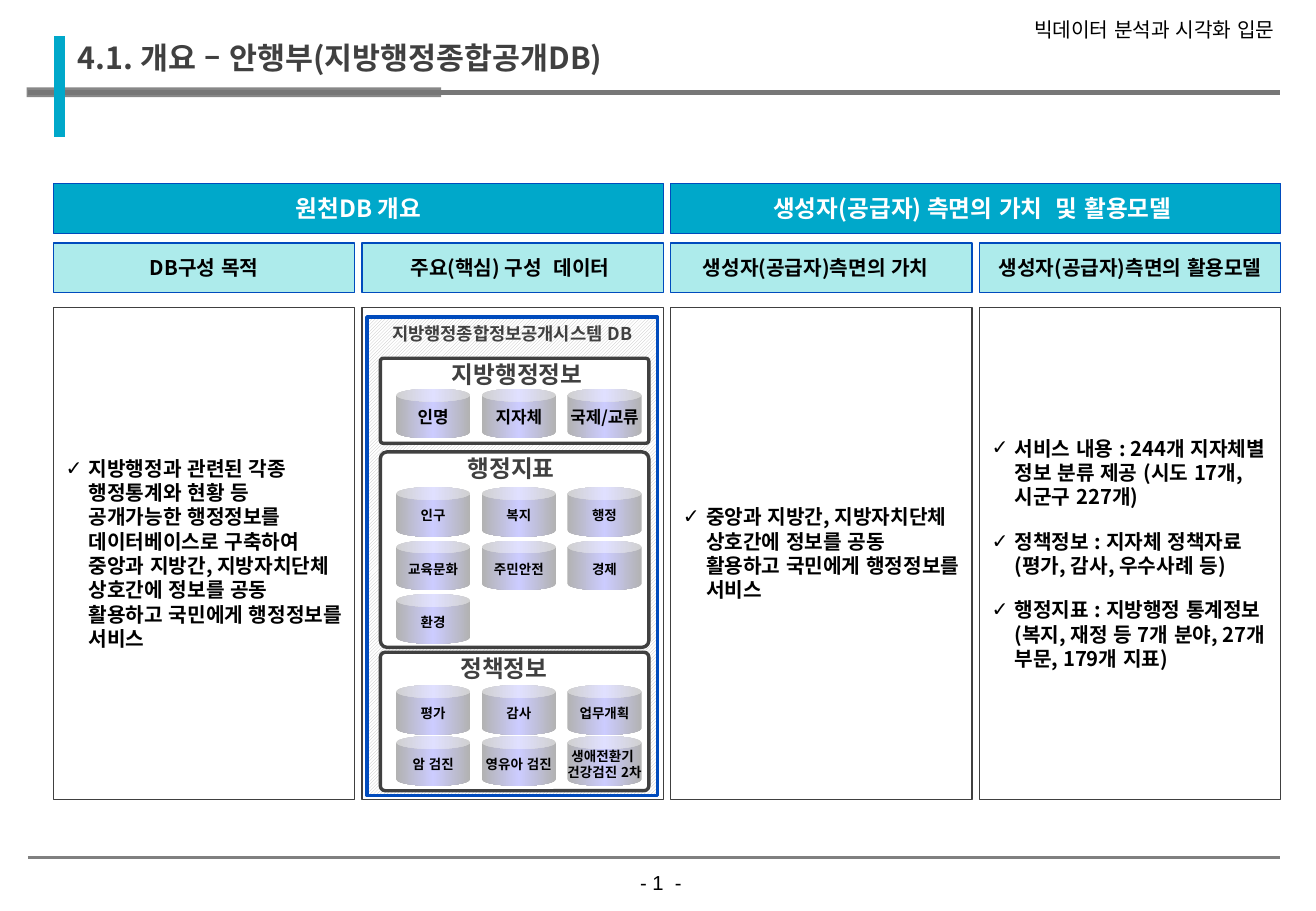
from copy import deepcopy

from lxml import etree
from pptx import Presentation, util as u
from pptx.dml.color import RGBColor
from pptx.enum import dml, lang, shapes, text
from pptx.oxml.ns import qn

WIDTH, HEIGHT = 10.83, 7.5
FONT = "Noto Sans CJK KR"
COLORS = {
    "teal": "00A8CA", "aqua": "ADEBEB", "blue": "004BBD", "dark": "404040",
    "black": "000000", "white": "FFFFFF", "hatch": "BFBFBF", "rule": "777777",
    "footer": "808080", "bar": "111111", "can_edge": "B2B2B2", "can_middle": "CCCCFF",
}
KIND = shapes.MSO_SHAPE
ALIGN, ANCHOR = text.PP_ALIGN, text.MSO_ANCHOR

# Column grid of the four-column overview
GRID_LEFT, COLUMN_WIDTH, COLUMN_PITCH = 0.44, 2.48, 2.54
BODY_TOP, BODY_HEIGHT = 2.53, 4.05
# Grid of the database cylinders
CAN_LEFT, CAN_PITCH, CAN_WIDTH, CAN_HEIGHT = 3.26, 0.705, 0.61, 0.41

BANDS = ["원천DB 개요", "생성자(공급자) 측면의 가치  및 활용모델 "]
HEADINGS = ["DB구성 목적", "주요(핵심) 구성  데이터 ",
            "생성자(공급자)측면의 가치  ", "생성자(공급자)측면의 활용모델"]
LISTS = {  # column: items
    0: ["지방행정과 관련된 각종 행정통계와 현황 등 공개가능한 행정정보를 데이터베이스로 "
        "구축하여 중앙과 지방간, 지방자치단체 상호간에 정보를 공동 활용하고 국민에게 "
        "행정정보를 서비스"],
    2: ["중앙과 지방간, 지방자치단체 상호간에 정보를 공동 활용하고 국민에게 행정정보를 서비스"],
    3: ["서비스 내용 : 244개 지자체별 정보 분류 제공 (시도 17개, 시군구 227개)",
        "정책정보 : 지자체 정책자료(평가, 감사, 우수사례 등)",
        "행정지표 : 지방행정 통계정보(복지, 재정 등 7개 분야, 27개 부문, 179개 지표)"],
}
# title, title left, panel top, panel height, first can row, row pitch, text size, cans
PANELS = [
    ("지방행정정보", 3.62, 2.95, 0.70, 3.20, 0.44, 10, ["인명", "지자체", "국제/교류"]),
    ("행정지표", 3.75, 3.72, 1.61, 4.01, 0.44, 8,
     ["인구", "복지", "행정", "교육문화", "주민안전", "경제", "환경"]),
    ("정책정보", 3.69, 5.37, 1.14, 5.64, 0.42, 8,
     ["평가", "감사", "업무개획", "암 검진", "영유아 검진", "생애전환기 \v건강검진 2차"]),
]


def color(name):
    return RGBColor.from_string(COLORS[name])


def column(index):
    return GRID_LEFT + index * COLUMN_PITCH


def apply(target, values):
    for name, value in values.items():
        setattr(target, name, value)


def place(shape, left, top, width, height):
    apply(shape, {"left": u.Inches(left), "top": u.Inches(top),
                  "width": u.Inches(width), "height": u.Inches(height)})


def write(shape, items, size, ink="black", bold=True, font=FONT, frame=None, **paragraph_format):
    """Fill a shape with paragraphs that share one format."""
    text_frame = shape.text_frame
    text_frame.text = "\n".join(items)
    apply(text_frame, {"word_wrap": True, "auto_size": text.MSO_AUTO_SIZE.NONE,
                       "vertical_anchor": ANCHOR.MIDDLE, **(frame or {})})
    for paragraph in text_frame.paragraphs:
        apply(paragraph, {"alignment": ALIGN.CENTER, **paragraph_format})
        for run in paragraph.runs:
            apply(run.font, {"size": u.Pt(size), "bold": bold, "name": font,
                             "language_id": lang.MSO_LANGUAGE_ID.KOREAN})
            run.font.color.rgb = color(ink)
            properties = run.font._element
            etree.SubElement(properties, qn("a:ea")).set("typeface", font)
        for line_break in paragraph._p.findall(qn("a:br")):
            line_break.append(deepcopy(properties))


def outline(shape, fill, line, points):
    shape.fill.solid()
    shape.fill.fore_color.rgb = color(fill)
    shape.line.color.rgb = color(line)
    shape.line.width = u.Pt(points)


def add_box(slide, box, kind=KIND.ROUNDED_RECTANGLE, corner=0):
    shape = slide.shapes.add_shape(kind, *map(u.Inches, box))
    shape.shadow.inherit = False
    if len(shape.adjustments):
        shape.adjustments[0] = corner
    return shape


def add_rule(slide, start, end, ink, points):
    rule = slide.shapes.add_connector(shapes.MSO_CONNECTOR.STRAIGHT,
                                      *map(u.Inches, (*start, *end)))
    rule.line.color.rgb = color(ink)
    rule.line.width = u.Pt(points)
    etree.SubElement(rule._element.spPr, qn("a:effectLst"))


def add_label(slide, box, label, size, **options):
    shape = slide.shapes.add_textbox(*map(u.Inches, box))
    write(shape, [label], size, **options)


def add_can(slide, left, top, label, size):
    can = add_box(slide, (left, top, CAN_WIDTH, CAN_HEIGHT), KIND.CAN, 0.258)
    can.line.fill.background()
    can.fill.gradient()
    can.fill.gradient_angle = 0
    stop_list = can.fill._xPr.find(qn("a:gradFill")).find(qn("a:gsLst"))
    stop_list.insert(1, deepcopy(stop_list[0]))
    for stop, position, name in zip(can.fill.gradient_stops, (0, 0.5, 1),
                                    ("can_edge", "can_middle", "can_edge")):
        stop.position = position
        stop.color.rgb = color(name)
    write(can, [label], size, frame={"word_wrap": False})


def add_panel(slide, title, title_left, top, height, first_row, pitch, size, cans):
    panel = add_box(slide, (3.13, top, 2.21, height), corner=0.035)
    outline(panel, "white", "dark", 2)
    add_label(slide, (title_left, top - 0.035, 1.38, 0.34), title, 14, ink="dark",
              frame={"word_wrap": False, "vertical_anchor": ANCHOR.TOP}, alignment=ALIGN.LEFT)
    for index, label in enumerate(cans):
        row, position = divmod(index, 3)
        add_can(slide, CAN_LEFT + position * CAN_PITCH, first_row + row * pitch, label, size)


def fill_list(placeholder, index, items):
    place(placeholder, column(index), BODY_TOP, COLUMN_WIDTH, BODY_HEIGHT)
    outline(placeholder, "white", "dark", 0.75)
    write(placeholder, items, 12, alignment=ALIGN.LEFT, space_before=u.Pt(12))
    for paragraph in placeholder.text_frame.paragraphs:
        properties = paragraph._p.get_or_add_pPr()
        properties.set("marL", str(u.Inches(0.19)))
        properties.set("indent", str(-u.Inches(0.19)))
        etree.SubElement(properties, qn("a:buChar")).set("char", "✓")


def add_page_frame(slide):
    margin, right = 0.23, 10.53
    add_label(slide, (5.11, 7.11, 0.66, 0.31), "- 1  -", 12, bold=False, font="Arial",
              frame={"word_wrap": False})
    add_rule(slide, (margin, 7.06), (right, 7.06), "footer", 2.25)
    no_margins = dict.fromkeys(["margin_left", "margin_right", "margin_top", "margin_bottom"], 0)
    add_label(slide, (6.52, 0.12, 3.97, 0.22), "빅데이터 분석과 시각화 입문", 12, bold=False,
              frame=no_margins, alignment=ALIGN.RIGHT, line_spacing=u.Pt(16))
    bar = add_box(slide, (0.22, 0.72, 3.41, 0.08), KIND.RECTANGLE)
    bar.fill.solid()
    bar.fill.fore_color.rgb = color("bar")
    bar.line.fill.background()
    bar_color = bar._element.spPr.find(qn("a:solidFill"))[0]
    etree.SubElement(bar_color, qn("a:alpha")).set("val", "50000")
    add_rule(slide, (margin, 0.76), (right, 0.76), "rule", 3)
    add_rule(slide, (0.49, 0.3), (0.49, 1.13), "teal", 6)


def main():
    presentation = Presentation()
    apply(presentation, {"slide_width": u.Inches(WIDTH), "slide_height": u.Inches(HEIGHT)})
    slide = presentation.slides.add_slide(presentation.slide_layouts[4])
    title, *bodies = slide.placeholders

    # Page frame and title
    add_page_frame(slide)
    place(title, 0.54, 0.27, 9.75, 0.41)
    write(title, ["4.1. 개요 – 안행부(지방행정종합공개DB)"], 18, ink="dark", alignment=ALIGN.LEFT)

    # Header bands and column headings
    for index, label in enumerate(BANDS):
        band = add_box(slide, (column(2 * index), 1.51, COLUMN_PITCH + COLUMN_WIDTH, 0.41))
        outline(band, "teal", "blue", 0.75)
        write(band, [label], 14, ink="white")
    for index, label in enumerate(HEADINGS):
        heading = add_box(slide, (column(index), 2, COLUMN_WIDTH, 0.41))
        outline(heading, "aqua", "blue", 0.75)
        side = u.Inches(0.04 if index == 3 else 0.1)
        write(heading, [label], 12, frame={"margin_left": side, "margin_right": side})

    # Bulleted columns; the spare body is dropped
    for placeholder, (index, items) in zip(bodies, LISTS.items()):
        fill_list(placeholder, index, items)
    spare = bodies[-1]._element
    spare.getparent().remove(spare)

    # Database column
    outline(add_box(slide, (column(1), BODY_TOP, COLUMN_WIDTH, BODY_HEIGHT)), "white", "dark", 0.75)
    system = add_box(slide, (3.02, 2.61, 2.39, 3.94))
    outline(system, "white", "blue", 2)
    system.fill.patterned()
    system.fill.pattern = dml.MSO_PATTERN.LIGHT_UPWARD_DIAGONAL
    system.fill.fore_color.rgb = color("hatch")
    system.fill.back_color.rgb = color("white")
    write(system, ["지방행정종합정보공개시스템 DB"], 10.5, ink="dark",
          frame={"vertical_anchor": ANCHOR.TOP})
    for panel in PANELS:
        add_panel(slide, *panel)

    presentation.save("out.pptx")


if __name__ == "__main__":
    main()
